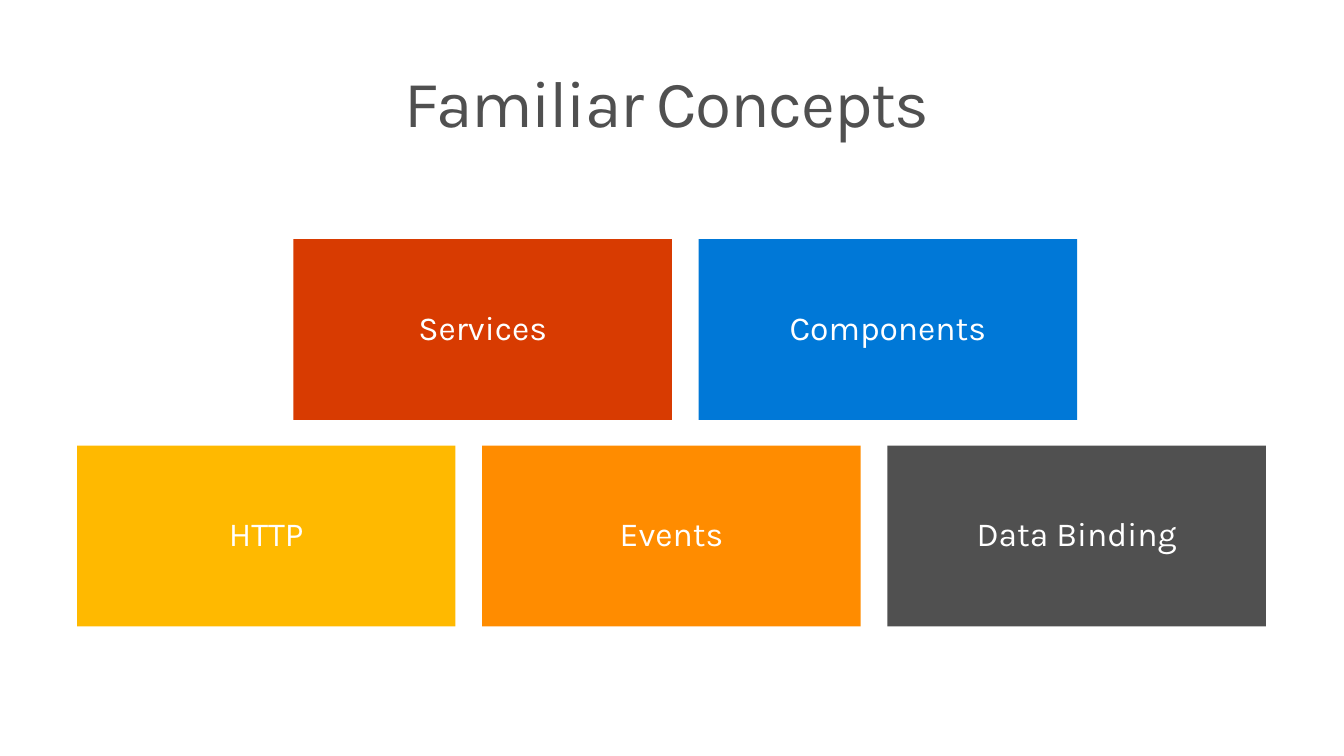
from pptx import Presentation
from pptx.dml.color import RGBColor
from pptx.enum.shapes import MSO_SHAPE
from pptx.enum.text import MSO_ANCHOR, MSO_AUTO_SIZE, PP_ALIGN
from pptx.util import Inches, Pt

WHITE = RGBColor(0xFF, 0xFF, 0xFF)
GRAY = RGBColor(0x50, 0x50, 0x50)
ORANGE = RGBColor(0xFF, 0x8C, 0x00)
YELLOW = RGBColor(0xFF, 0xB9, 0x00)
BLUE = RGBColor(0x00, 0x78, 0xD7)
RED = RGBColor(0xD8, 0x3B, 0x01)

# Card grid, in inches
CARD_WIDTH, CARD_HEIGHT = 3.83, 1.83
COLUMN_STEP, ROW_STEP = 4.1, 2.09
FIRST_ROW_TOP = 2.42

# Left edge of each row, then its cards
ROWS = [
    (2.97, [("Services", RED), ("Components", BLUE)]),
    (0.78, [("HTTP", YELLOW), ("Events", ORANGE), ("Data Binding", GRAY)]),
]


def write_centered(box, text, size, color):
    para = box.text_frame.paragraphs[0]
    para.alignment = PP_ALIGN.CENTER
    para.line_spacing = 0.9
    para.space_before = Pt(0)
    span = para.add_run()
    span.text = text
    span.font.name = "Karla"
    span.font.size = Pt(size)
    span.font.color.rgb = color
    return span


deck = Presentation()
deck.slide_width = Inches(13.6)
deck.slide_height = Inches(7.65)
page = deck.slides.add_slide(deck.slide_layouts[5])

# Title
title = page.shapes.title
title.left, title.top = Inches(0.79), Inches(0.66)
title.width, title.height = Inches(12.02), Inches(0.49)
frame = title.text_frame
frame.auto_size = MSO_AUTO_SIZE.NONE
frame.word_wrap = True
frame.vertical_anchor = MSO_ANCHOR.TOP
frame.margin_left, frame.margin_right = 0, Inches(0.1)
frame.margin_top = frame.margin_bottom = Inches(0.05)
heading = write_centered(title, "Familiar Concepts", 48, GRAY)
heading.font._element.set("spc", "-100")

# Concept cards
for row, (row_left, cards) in enumerate(ROWS):
    for column, (concept, color) in enumerate(cards):
        card = page.shapes.add_shape(
            MSO_SHAPE.RECTANGLE,
            Inches(row_left + column * COLUMN_STEP),
            Inches(FIRST_ROW_TOP + row * ROW_STEP),
            Inches(CARD_WIDTH), Inches(CARD_HEIGHT))
        card.shadow.inherit = False
        card.fill.solid()
        card.fill.fore_color.rgb = color
        card.line.fill.background()
        frame = card.text_frame
        frame.word_wrap = True
        frame.vertical_anchor = MSO_ANCHOR.MIDDLE
        frame.margin_left = frame.margin_right = Inches(0.3)
        frame.margin_top = frame.margin_bottom = Inches(0.3)
        write_centered(card, concept, 24.5, WHITE)

deck.save("out.pptx")
